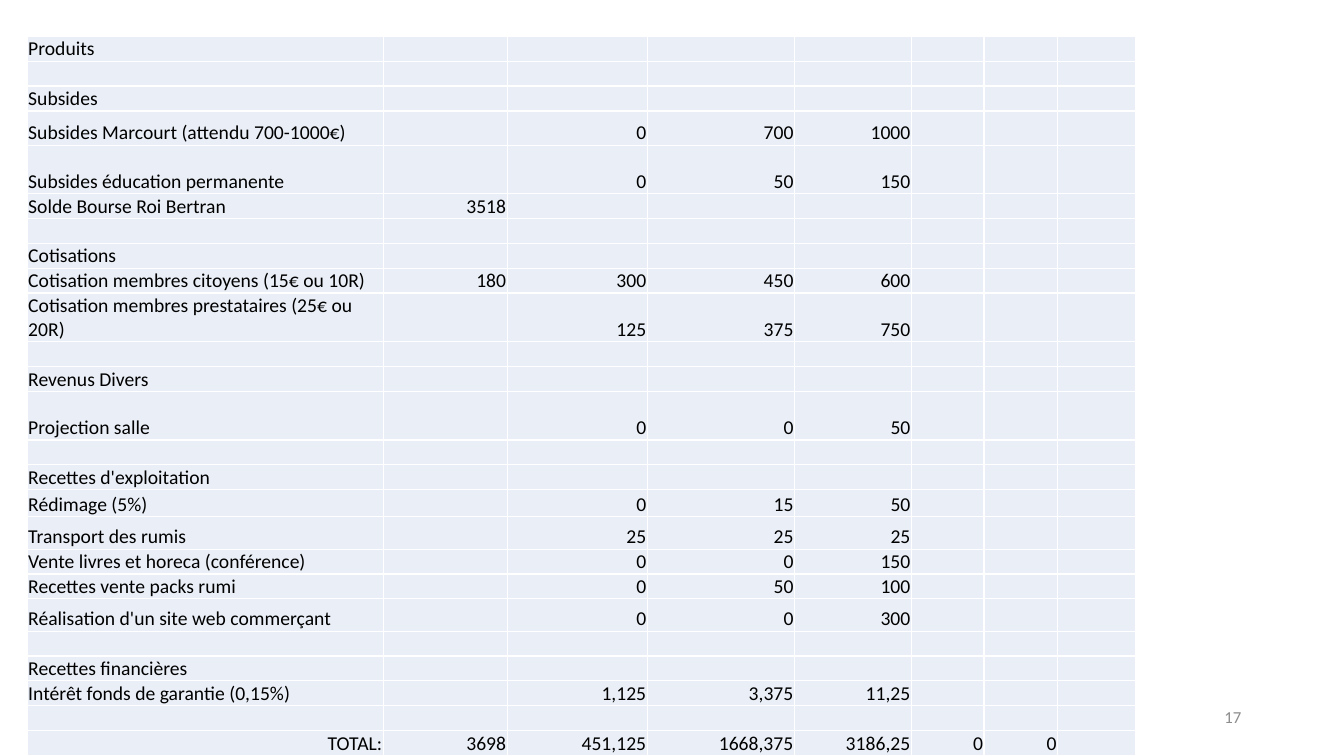
import pptx
import pptx.dml.color
import pptx.enum.text
import pptx.util
from lxml import etree
from pptx.oxml.ns import qn

FONT = "Calibri"
COLUMN_WIDTHS = [3.53, 1.23, 1.39, 1.46, 1.16, 0.72, 0.73, 0.77]
LINE_HEIGHT = 0.24
TALL_ROWS = {3: 0.34, 4: 0.48, 9: 0.48, 12: 0.48, 15: 0.27, 16: 0.32, 19: 0.32}

# Each row: label, then the amounts from the second column on.
BUDGET = [
    ["Produits"],
    [],
    ["Subsides"],
    ["Subsides Marcourt (attendu 700-1000€)", "", "0", "700", "1000"],
    ["Subsides éducation permanente", "", "0", "50", "150"],
    ["Solde Bourse Roi Bertran", "3518"],
    [],
    ["Cotisations"],
    ["Cotisation membres citoyens (15€ ou 10R)", "180", "300", "450", "600"],
    ["Cotisation membres prestataires (25€ ou 20R)", "", "125", "375", "750"],
    [],
    ["Revenus Divers"],
    ["Projection salle", "", "0", "0", "50"],
    [],
    ["Recettes d'exploitation"],
    ["Rédimage (5%)", "", "0", "15", "50"],
    ["Transport des rumis", "", "25", "25", "25"],
    ["Vente livres et horeca (conférence)", "", "0", "0", "150"],
    ["Recettes vente packs rumi", "", "0", "50", "100"],
    ["Réalisation d'un site web commerçant", "", "0", "0", "300"],
    [],
    ["Recettes financières"],
    ["Intérêt fonds de garantie (0,15%)", "", "1,125", "3,375", "11,25"],
    [],
    ["TOTAL:", "3698", "451,125", "1668,375", "3186,25", "0", "0"],
]


def inches(value):
    return pptx.util.Inches(value)


def color(value):
    return pptx.dml.color.RGBColor.from_string(value)


def write(paragraph, text, size, ink, right):
    paragraph.text = text
    if right:
        paragraph.alignment = pptx.enum.text.PP_ALIGN.RIGHT
    for run in paragraph.runs:
        run.font.size = pptx.util.Pt(size)
        run.font.name = FONT
        run.font.color.rgb = color(ink)


def set_empty_size(paragraph, size):
    """Give a paragraph without runs its line height."""
    end = etree.SubElement(paragraph._p, qn("a:endParaRPr"))
    end.set("sz", str(size * 100))


def add_borders(cell, ink, width):
    properties = cell._tc.get_or_add_tcPr()
    for side in ("lnL", "lnR", "lnT", "lnB"):
        line = etree.SubElement(properties, qn(f"a:{side}"), w=str(pptx.util.Pt(width)))
        fill = etree.SubElement(line, qn("a:solidFill"))
        etree.SubElement(fill, qn("a:srgbClr"), val=ink)


def fill_cell(cell, text, right):
    cell.margin_left = cell.margin_right = cell.margin_top = inches(0.01)
    cell.margin_bottom = 0
    cell.vertical_anchor = pptx.enum.text.MSO_ANCHOR.BOTTOM
    add_borders(cell, "FFFFFF", 1)
    cell.fill.solid()
    cell.fill.fore_color.rgb = color("EAEFF7")
    paragraph = cell.text_frame.paragraphs[0]
    if text:
        write(paragraph, text, 14, "000000", right)
    else:
        set_empty_size(paragraph, 14)


def add_budget(slide):
    heights = [TALL_ROWS.get(row, LINE_HEIGHT) for row in range(len(BUDGET))]
    budget = slide.shapes.add_table(
        len(BUDGET), len(COLUMN_WIDTHS), inches(0.27), inches(0.36),
        inches(sum(COLUMN_WIDTHS)), inches(sum(heights))).table
    budget.first_row = budget.horz_banding = False
    for column, width in zip(budget.columns, COLUMN_WIDTHS):
        column.width = inches(width)
    for r, (entries, height) in enumerate(zip(BUDGET, heights)):
        budget.rows[r].height = inches(height)
        for c in range(len(COLUMN_WIDTHS)):
            text = entries[c] if c < len(entries) else ""
            fill_cell(budget.cell(r, c), text, right=c > 0 or text == "TOTAL:")


def add_page_number(slide, number):
    frame = slide.shapes.add_textbox(
        inches(9.41), inches(6.91), inches(3), inches(0.4)).text_frame
    frame.word_wrap = True
    frame.vertical_anchor = pptx.enum.text.MSO_ANCHOR.MIDDLE
    write(frame.paragraphs[0], number, 12, "8C8C8C", right=True)


def main():
    deck = pptx.Presentation()
    deck.slide_width, deck.slide_height = inches(13.33), inches(7.5)
    slide = deck.slides.add_slide(deck.slide_layouts[6])
    add_budget(slide)
    add_page_number(slide, "17")
    deck.save("out.pptx")


if __name__ == "__main__":
    main()
